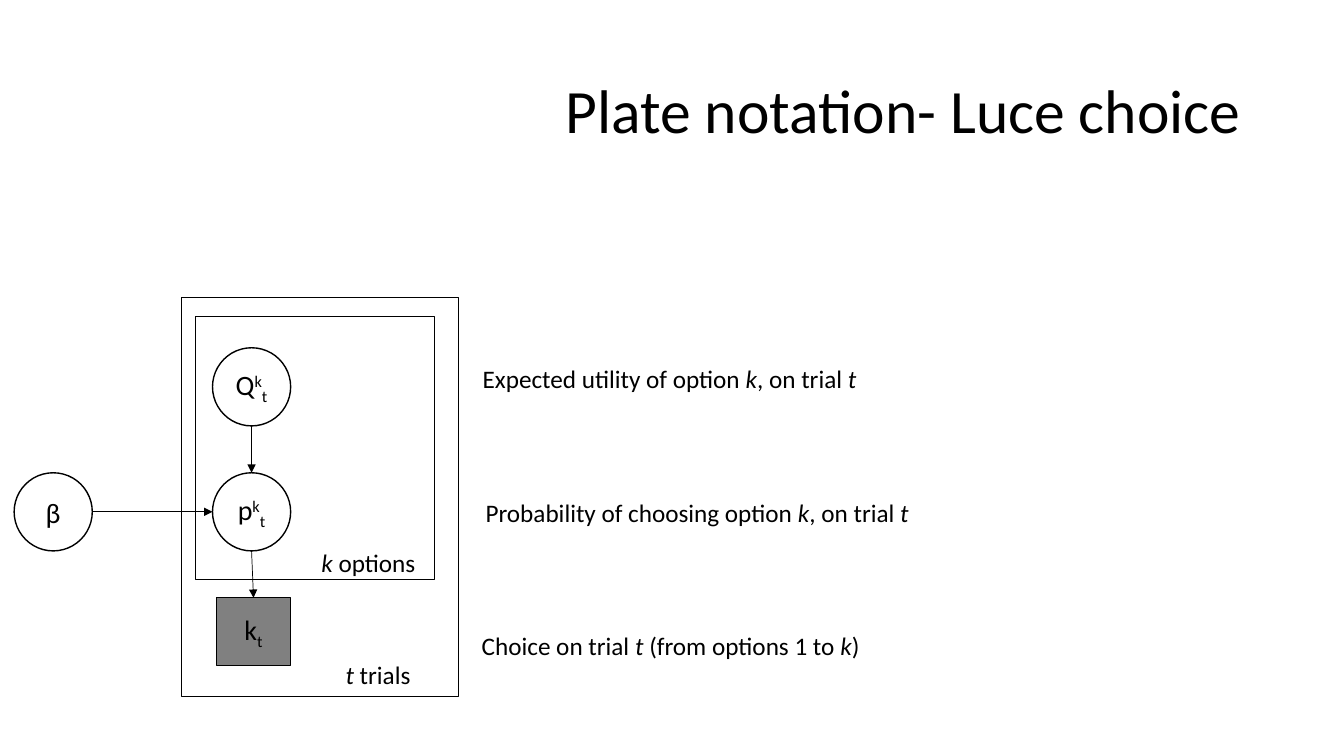
from lxml.etree import SubElement
from pptx import Presentation
from pptx.dml.color import RGBColor
from pptx.enum.shapes import MSO_CONNECTOR as Line, MSO_SHAPE as Shape
from pptx.enum.text import MSO_ANCHOR as Anchor, PP_ALIGN as Align
from pptx.oxml.ns import qn
from pptx.util import Pt

BLACK = RGBColor(0x00, 0x00, 0x00)
GREY = RGBColor(0x80, 0x80, 0x80)
FONT = "Calibri"

NODE = 55.8        # diameter of a variable's circle
CHAIN_X = 179.7    # centre line of the Q, p, k chain
CHAIN_LEFT = CHAIN_X - NODE / 2
BETA_LEFT = 10.1
UTILITY_TOP, PROBABILITY_TOP, CHOICE_TOP = 248.4, 337.7, 427

SUPER, SUB = 30000, -25000


def add_run(paragraph, text, size, italic=False, baseline=None):
    run = paragraph.add_run()
    run.text = text
    run.font.name = FONT
    run.font.size = Pt(size)
    run.font.color.rgb = BLACK
    if italic:
        run.font.italic = True
    if baseline is not None:
        run._r.get_or_add_rPr().set("baseline", str(baseline))


def add_outline(slide, kind, left, top, width, height, fill=None):
    outline = slide.shapes.add_shape(kind, Pt(left), Pt(top), Pt(width), Pt(height))
    outline.shadow.inherit = False
    if fill is None:
        outline.fill.background()
    else:
        outline.fill.solid()
        outline.fill.fore_color.rgb = fill
    outline.line.color.rgb = BLACK
    outline.line.width = Pt(1)
    return outline


def add_variable(slide, kind, left, top, width, height, symbol, fill=None):
    """Add a node; symbol is a list of (text, baseline) pairs."""
    variable = add_outline(slide, kind, left, top, width, height, fill)
    frame = variable.text_frame
    frame.word_wrap = False
    frame.vertical_anchor = Anchor.MIDDLE
    paragraph = frame.paragraphs[0]
    paragraph.alignment = Align.CENTER
    for text, baseline in symbol:
        add_run(paragraph, text, 20, baseline=baseline)
    return variable


def add_label(slide, left, top, width, pieces):
    """Add a line of text; pieces is a list of (text, italic) pairs."""
    label = slide.shapes.add_textbox(Pt(left), Pt(top), Pt(width), Pt(29))
    label.text_frame.word_wrap = True
    for text, italic in pieces:
        add_run(label.text_frame.paragraphs[0], text, 18, italic)


def add_arrow(slide, x1, y1, x2, y2):
    arrow = slide.shapes.add_connector(Line.STRAIGHT, Pt(x1), Pt(y1), Pt(x2), Pt(y2))
    arrow.line.color.rgb = BLACK
    arrow.line.width = Pt(0.5)
    SubElement(arrow.line._get_or_add_ln(), qn("a:tailEnd"), type="triangle")
    SubElement(arrow._element.spPr, qn("a:effectLst"))
    return arrow


def add_title(slide, text):
    title = slide.shapes.add_textbox(Pt(66), Pt(28.8), Pt(828), Pt(104.4))
    title.text_frame.word_wrap = True
    title.text_frame.vertical_anchor = Anchor.MIDDLE
    paragraph = title.text_frame.paragraphs[0]
    paragraph.alignment = Align.RIGHT
    paragraph.line_spacing = 0.9
    add_run(paragraph, text, 44)


def main():
    deck = Presentation()
    deck.slide_width, deck.slide_height = Pt(960), Pt(540)
    slide = deck.slides.add_slide(deck.slide_layouts[6])

    add_title(slide, "Plate notation- Luce choice")

    # Plates
    add_outline(slide, Shape.RECTANGLE, 139.7, 226.1, 170.9, 187.9)
    add_label(slide, 222.5, 387.4, 88, [("k ", True), ("options", False)])
    add_outline(slide, Shape.RECTANGLE, 129.6, 212.4, 198, 285.1)
    add_label(slide, 239.8, 467.3, 88, [("t ", True), ("trials", False)])

    # Variables
    indices = [("k", SUPER), ("t", SUB)]
    for left, top, symbol in [
        (CHAIN_LEFT, UTILITY_TOP, [("Q", None), *indices]),
        (CHAIN_LEFT, PROBABILITY_TOP, [("p", None), *indices]),
        (BETA_LEFT, PROBABILITY_TOP, [("β", None)]),
    ]:
        add_variable(slide, Shape.OVAL, left, top, NODE, NODE, symbol)
    choice = add_variable(slide, Shape.RECTANGLE, 154.8, CHOICE_TOP, 52.6, 48.2,
                          [("k", None), ("t", SUB)], GREY)

    # Dependencies
    add_arrow(slide, CHAIN_X, UTILITY_TOP + NODE, CHAIN_X, PROBABILITY_TOP)
    to_choice = add_arrow(slide, CHAIN_X, PROBABILITY_TOP + NODE, CHAIN_X, CHOICE_TOP)
    to_choice.end_connect(choice, 0)
    beta_y = PROBABILITY_TOP + NODE / 2
    add_arrow(slide, BETA_LEFT + NODE, beta_y, CHAIN_LEFT, beta_y)

    # Explanations
    per_option = [("k", True), (", on trial ", False), ("t", True)]
    add_label(slide, 337.7, 256.3, 338.4,
              [("Expected utility of option ", False), *per_option])
    add_label(slide, 339.8, 351.4, 338.4,
              [("Probability of choosing option ", False), *per_option])
    add_label(slide, 337, 446.4, 291.6,
              [("Choice on trial ", False), ("t", True),
               (" (from options 1 to ", False), ("k", True), (")", False)])

    deck.save("out.pptx")


if __name__ == "__main__":
    main()
